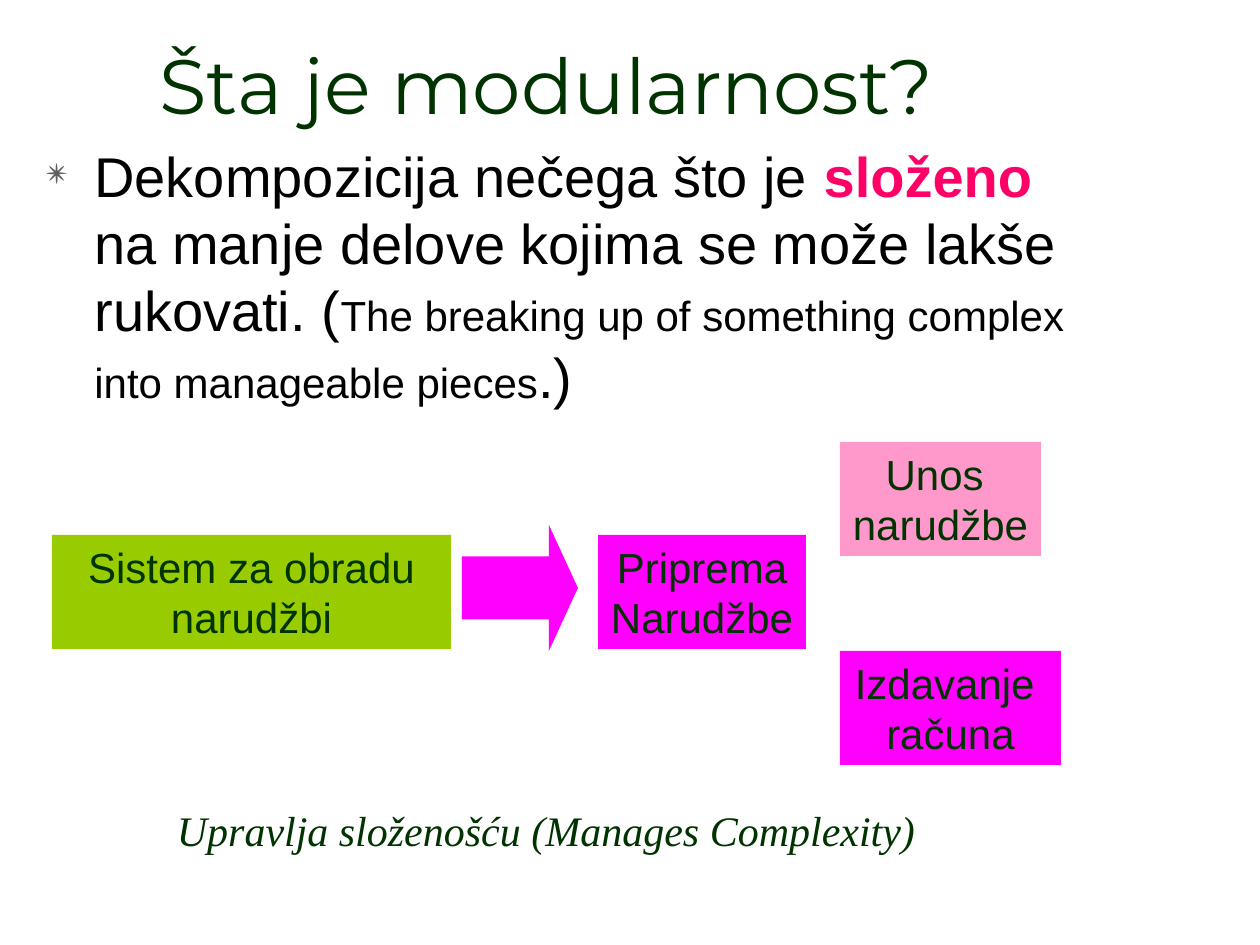
from lxml import etree
from pptx import Presentation
from pptx import util as u
from pptx.dml.color import RGBColor
from pptx.enum import shapes, text
from pptx.oxml.ns import qn

DARK_GREEN = RGBColor(0x00, 0x33, 0x00)
LIME = RGBColor(0x99, 0xCC, 0x00)
MAGENTA = RGBColor(0xFF, 0x00, 0xFF)
PINK = RGBColor(0xFF, 0x99, 0xCC)
RED = RGBColor(0xFF, 0x00, 0x66)
BLACK = RGBColor(0x00, 0x00, 0x00)
BULLET_GREY = "5F5F5F"

# Positions are left, top, width, height in px.
TITLE = "Šta je modularnost?"
TITLE_AT = (32, 32, 1029, 104)
DEFINITION = [
    ("Dekompozicija nečega što je ", {}),
    ("složeno", {"color": RED, "bold": True}),
    (" na manje delove kojima se može lakše rukovati. (", {}),
    ("The breaking up of something complex into manageable pieces", {"size": 24}),
    (".)", {}),
]
DEFINITION_AT = (34, 135, 1052, 766)
MODULES = [
    (["Sistem za obradu narudžbi"], LIME, (52, 535, 399, 114), True),
    (["Izdavanje ", "računa"], MAGENTA, (840, 651, 221, 114), True),
    (["Unos ", "narudžbe"], PINK, (840, 442, 201, 114), True),
    (["Priprema", "Narudžbe"], MAGENTA, (598, 535, 208, 114), False),
]
ARROW_AT = (462, 525, 116, 126)
CONCLUSION = "Upravlja složenošću (Manages Complexity)"
CONCLUSION_AT = (126, 798, 840, 66)

PX = u.Inches(1) / 126


def emu(*lengths):
    return [round(length * PX) for length in lengths]


def add_run(paragraph, words, *, size=24, font="Arial", color=DARK_GREEN,
            bold=False, italic=False):
    run = paragraph.add_run()
    run.text = words
    run.font.size = u.Pt(size)
    run.font.name = font
    run.font.color.rgb = color
    run.font.bold = bold
    run.font.italic = italic


def add_lines(frame, lines, **style):
    frame.vertical_anchor = style.pop("anchor", text.MSO_ANCHOR.TOP)
    for number, line in enumerate(lines):
        paragraph = frame.add_paragraph() if number else frame.paragraphs[0]
        paragraph.alignment = text.PP_ALIGN.CENTER
        add_run(paragraph, line, **style)


def add_box(slide, at):
    frame = slide.shapes.add_textbox(*emu(*at)).text_frame
    frame.word_wrap = True
    return frame


def add_filled(slide, kind, at, fill):
    shape = slide.shapes.add_shape(kind, *emu(*at))
    shape.shadow.inherit = False
    shape.fill.solid()
    shape.fill.fore_color.rgb = fill
    shape.line.fill.background()
    return shape


def add_bullet(paragraph, sign, indent):
    properties = paragraph._p.get_or_add_pPr()
    hanging = emu(indent)[0]
    properties.set("marL", str(hanging))
    properties.set("indent", str(-hanging))
    color = etree.SubElement(properties, qn("a:buClr"))
    etree.SubElement(color, qn("a:srgbClr"), val=BULLET_GREY)
    etree.SubElement(properties, qn("a:buSzPct"), val="65000")
    etree.SubElement(properties, qn("a:buChar"), char=sign)


def main():
    deck = Presentation()
    deck.slide_width, deck.slide_height = emu(1260, 945)
    slide = deck.slides.add_slide(deck.slide_layouts[6])

    for lines, fill, at, wraps in MODULES:
        module = add_filled(slide, shapes.MSO_SHAPE.RECTANGLE, at, fill)
        module.text_frame.word_wrap = wraps
        add_lines(module.text_frame, lines)

    arrow = add_filled(slide, shapes.MSO_SHAPE.RIGHT_ARROW, ARROW_AT, MAGENTA)
    arrow.adjustments[0], arrow.adjustments[1] = 0.5, 0.25

    add_lines(add_box(slide, CONCLUSION_AT), [CONCLUSION],
              font="Times New Roman", italic=True)
    add_lines(add_box(slide, TITLE_AT), [TITLE], size=44, font="Montserrat",
              anchor=text.MSO_ANCHOR.BOTTOM)

    definition = add_box(slide, DEFINITION_AT).paragraphs[0]
    add_bullet(definition, "✴", 48)
    for words, style in DEFINITION:
        add_run(definition, words, **{"size": 32, "color": BLACK, **style})

    deck.save("out.pptx")


if __name__ == "__main__":
    main()
